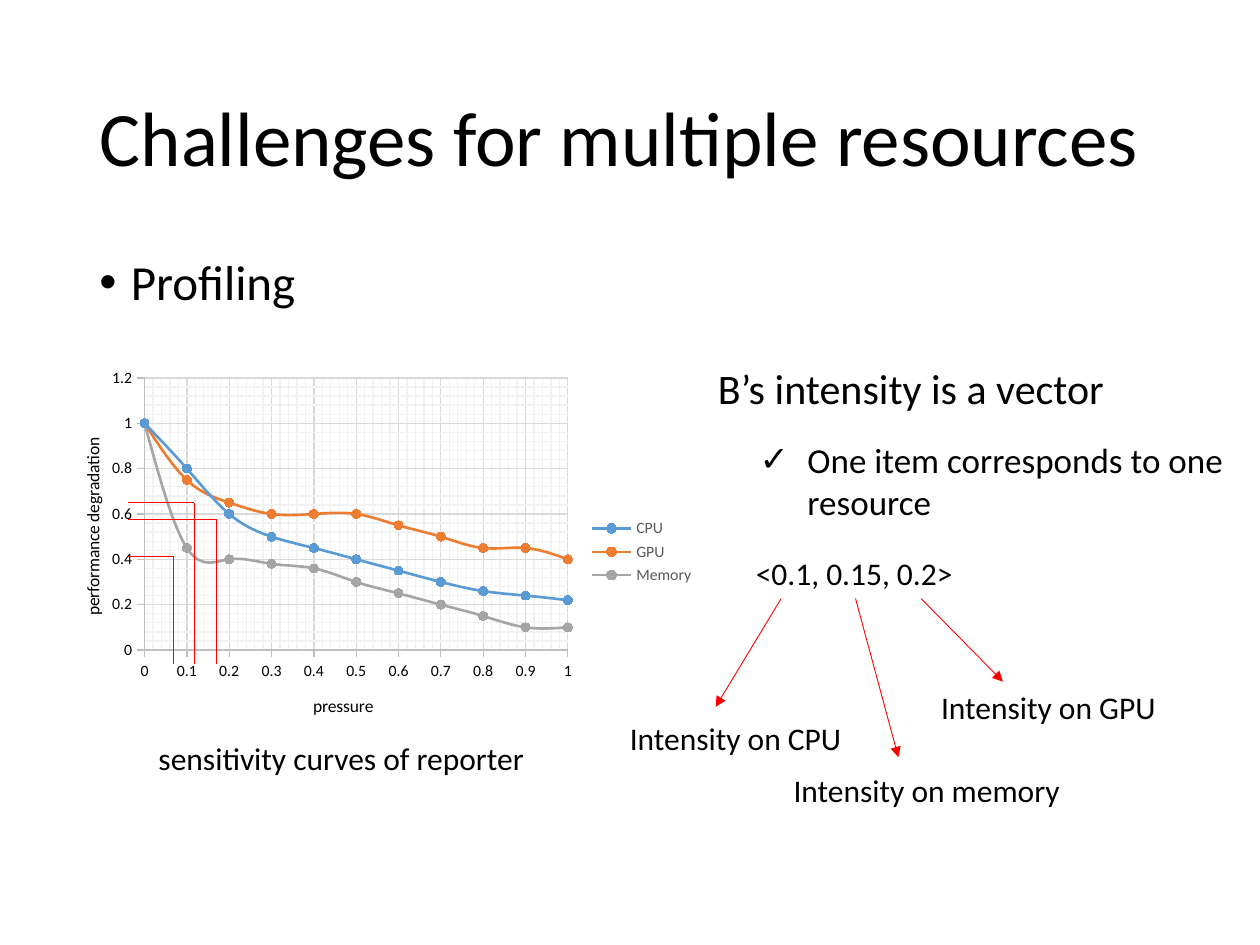
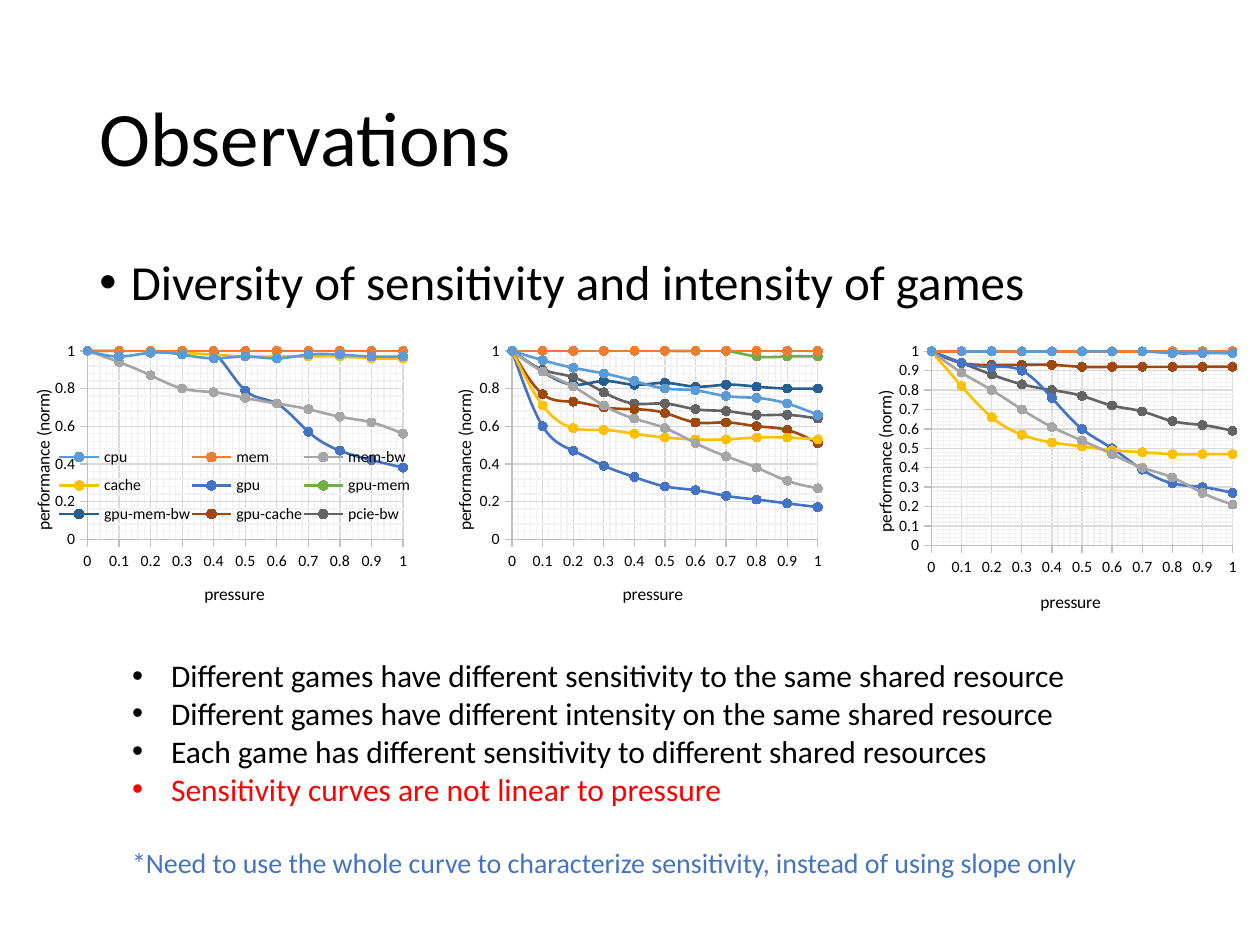
from lxml import etree
from pptx import Presentation
from pptx.chart.data import XyChartData
from pptx.dml.color import RGBColor
from pptx.enum.chart import XL_CHART_TYPE, XL_LEGEND_POSITION, XL_MARKER_STYLE, XL_TICK_MARK
from pptx.enum.shapes import MSO_CONNECTOR
from pptx.enum.text import MSO_ANCHOR, MSO_AUTO_SIZE, PP_ALIGN
from pptx.oxml.ns import qn
from pptx.util import Inches, Pt

SMOOTH = XL_CHART_TYPE.XY_SCATTER_SMOOTH
CIRCLE = XL_MARKER_STYLE.CIRCLE
OUTSIDE, NO_TICK = XL_TICK_MARK.OUTSIDE, XL_TICK_MARK.NONE
LEGEND_SIDES = {"right": XL_LEGEND_POSITION.RIGHT, "bottom": XL_LEGEND_POSITION.BOTTOM}
STRAIGHT = MSO_CONNECTOR.STRAIGHT
LEFT, MIDDLE = PP_ALIGN.LEFT, MSO_ANCHOR.MIDDLE
NO_FIT = MSO_AUTO_SIZE.NONE

FONT = "Calibri"
BLACK, RED, BLUE, GREY = "000000", "FF0000", "4472C4", "595959"
AXIS, GRID, FINE_GRID = "BFBFBF", "D9D9D9", "F2F2F2"
TITLE_AREA = (0.69, 0.4, 8.62, 1.45)
HEADING_AREA = (0.69, 2, 9.25, 0.67)

PRESSURES = [step / 10 for step in range(11)]
FLAT = [1] * 11
REPORTER_COLORS = ["5B9BD5", "ED7D31", "A5A5A5"]
GAME_COLORS = REPORTER_COLORS + ["FFC000", BLUE, "70AD47", "255E91", "9E480E", "636363"]
RESOURCES = ["cpu", "mem", "mem-bw", "cache", "gpu", "gpu-mem",
             "gpu-mem-bw", "gpu-cache", "pcie-bw"]
SERIES_NAMES = [f"Series {number}" for number in range(1, 10)]

# Places inside a chart are shares of its width and height.
REPORTER_CHART = {
    "area": (0.36, 2.88, 5.25, 3), "names": ["CPU", "GPU", "Memory"],
    "colors": REPORTER_COLORS, "value_title": "performance degradation",
    "top": 1.2, "step": 0.2, "plot": (0.15, 0.04, 0.64, 0.72),
    "pressure_at": (0.4, 0.87), "value_at": (0.05, 0.19),
    "legend": "right", "legend_color": GREY,
    "curves": [
        [1, 0.8, 0.6, 0.5, 0.45, 0.4, 0.35, 0.3, 0.26, 0.24, 0.22],
        [1, 0.75, 0.65, 0.6, 0.6, 0.6, 0.55, 0.5, 0.45, 0.45, 0.4],
        [1, 0.45, 0.4, 0.38, 0.36, 0.3, 0.25, 0.2, 0.15, 0.1, 0.1],
    ],
}
GAME_STYLE = {
    "names": SERIES_NAMES, "colors": GAME_COLORS, "value_title": "performance (norm)",
    "top": 1, "step": 0.2, "plot": (0.23, 0.05, 0.74, 0.65),
    "pressure_at": (0.49, 0.84), "value_at": (0.08, 0.17),
}
GAME_CHARTS = [
    {"area": (-0.04, 2.67, 3.34, 2.3), "names": RESOURCES, "plot": (0.22, 0.05, 0.75, 0.65),
     "legend": "bottom", "legend_color": BLACK, "legend_area": (0.15, 0.35, 0.84, 0.33),
     "curves": [
         [1, 0.97, 0.99, 0.98, 0.96, 0.97, 0.96, 0.98, 0.98, 0.97, 0.97],
         FLAT,
         [1, 0.94, 0.87, 0.8, 0.78, 0.75, 0.72, 0.69, 0.65, 0.62, 0.56],
         [1, 1, 1, 0.99, 0.98, 0.97, 0.97, 0.97, 0.97, 0.96, 0.96],
         [1, 1, 1, 1, 0.99, 0.79, 0.72, 0.57, 0.47, 0.42, 0.38],
         FLAT, FLAT, FLAT, FLAT,
     ]},
    {"area": (3.31, 2.67, 3.28, 2.3),
     "curves": [
         [1, 0.95, 0.91, 0.88, 0.84, 0.8, 0.79, 0.76, 0.75, 0.72, 0.66],
         FLAT,
         [1, 0.89, 0.81, 0.71, 0.64, 0.59, 0.51, 0.44, 0.38, 0.31, 0.27],
         [1, 0.71, 0.59, 0.58, 0.56, 0.54, 0.53, 0.53, 0.54, 0.54, 0.53],
         [1, 0.6, 0.47, 0.39, 0.33, 0.28, 0.26, 0.23, 0.21, 0.19, 0.17],
         [1, 1, 1, 1, 1, 1, 1, 1, 0.97, 0.97, 0.97],
         [1, 0.89, 0.82, 0.84, 0.82, 0.83, 0.81, 0.82, 0.81, 0.8, 0.8],
         [1, 0.77, 0.73, 0.7, 0.69, 0.67, 0.62, 0.62, 0.6, 0.58, 0.51],
         [1, 0.9, 0.86, 0.78, 0.72, 0.72, 0.69, 0.68, 0.66, 0.66, 0.64],
     ]},
    {"area": (6.65, 2.67, 3.23, 2.37), "step": 0.1,
     "curves": [
         [1, 1, 1, 1, 1, 1, 1, 1, 0.99, 0.99, 0.99],
         FLAT,
         [1, 0.89, 0.8, 0.7, 0.61, 0.54, 0.47, 0.4, 0.35, 0.27, 0.21],
         [1, 0.82, 0.66, 0.57, 0.53, 0.51, 0.49, 0.48, 0.47, 0.47, 0.47],
         [1, 0.94, 0.92, 0.9, 0.76, 0.6, 0.5, 0.39, 0.32, 0.3, 0.27],
         FLAT, FLAT,
         [1, 0.94, 0.93, 0.93, 0.93, 0.92, 0.92, 0.92, 0.92, 0.92, 0.92],
         [1, 0.94, 0.88, 0.83, 0.8, 0.77, 0.72, 0.69, 0.64, 0.62, 0.59],
     ]},
]

GUIDE_LEFT, GUIDE_BOTTOM = 1.02, 5.27
GUIDE_CORNERS = [(1.38, 4.42), (1.72, 4.12), (1.54, 3.99)]
SINGLE_LINES = [
    ("sensitivity curves of reporter", (1.16, 5.82, 3.14, 0.4)),
    ("<0.1, 0.15, 0.2>", (5.9, 4.35, 1.78, 0.4)),
    ("Intensity on CPU", (4.9, 5.66, 1.9, 0.4)),
    ("Intensity on memory", (6.2, 6.07, 2.34, 0.4)),
    ("Intensity on GPU", (7.37, 5.41, 1.92, 0.4)),
]
ARROW_TOP = 4.75
ARROWS = [(6.2, (5.68, 5.61)), (6.79, (7.13, 6.01)), (7.31, (7.96, 5.41))]
FINDINGS = [
    ("Different games have different sensitivity to the same shared resource", BLACK),
    ("Different games have different intensity on the same shared resource", BLACK),
    ("Each game has different sensitivity to different shared resources", BLACK),
    ("Sensitivity curves are not linear to pressure", RED),
]
FOOTNOTE = "*Need to use the whole curve to characterize sensitivity, instead of using slope only"


def rgb(color):
    return RGBColor.from_string(color)


def set_font(font, size, color=BLACK):
    font.name, font.size, font.bold = FONT, Pt(size), False
    font.color.rgb = rgb(color)


def set_line(line, color, width=0.75):
    line.color.rgb = rgb(color)
    line.width = Pt(width)


def write_text(frame, lines, size=18, color=BLACK, bullet=None, indent=0, spacing=None, wrap=True):
    """Fill a frame with lines, each a string or a (string, color) pair."""
    frame.word_wrap = wrap
    frame.auto_size = NO_FIT
    for index, line in enumerate(lines):
        text, text_color = (line, color) if isinstance(line, str) else line
        para = frame.add_paragraph() if index else frame.paragraphs[0]
        para.alignment = LEFT
        if bullet:
            properties = para._p.get_or_add_pPr()
            properties.set("marL", str(Inches(indent)))
            properties.set("indent", str(-Inches(indent)))
            etree.SubElement(properties, qn("a:buFont")).set("typeface", "Arial")
            etree.SubElement(properties, qn("a:buChar")).set("char", bullet)
        if spacing:
            para.line_spacing = spacing
        span = para.add_run()
        span.text = text
        set_font(span.font, size, text_color)


def add_text(slide, area, lines, **style):
    box = slide.shapes.add_textbox(*map(Inches, area))
    write_text(box.text_frame, lines, **style)


def add_line(slide, start, end, arrow=False):
    line = slide.shapes.add_connector(STRAIGHT, *map(Inches, (*start, *end)))
    set_line(line.line, RED, 0.5)
    properties = line._element.spPr
    if arrow:
        etree.SubElement(properties.find(qn("a:ln")), qn("a:tailEnd")).set("type", "triangle")
    etree.SubElement(properties, qn("a:effectLst"))


def place(element, area, inner=False):
    """Give a chart part a fixed place, in shares of the chart."""
    for old in element.findall(qn("c:layout")):
        element.remove(old)
    leading = [child for child in element if child.tag in (qn("c:tx"), qn("c:legendPos"))]
    layout = etree.Element(qn("c:layout"))
    manual = etree.SubElement(layout, qn("c:manualLayout"))
    settings = [("layoutTarget", "inner")] if inner else []
    settings += [("xMode", "edge"), ("yMode", "edge")]
    settings += list(zip("xywh", area))
    for name, value in settings:
        etree.SubElement(manual, qn(f"c:{name}")).set("val", str(value))
    element.insert(len(leading), layout)


def add_fine_grid(axis):
    axis.has_minor_gridlines = True
    part = axis._element.find(qn("c:minorGridlines"))
    for name in ("c:spPr", "a:ln", "a:solidFill", "a:srgbClr"):
        part = etree.SubElement(part, qn(name))
        if name == "a:ln":
            part.set("w", str(Pt(0.75)))
    part.set("val", FINE_GRID)


def format_axis(axis, title, title_at, top, step):
    axis.minimum_scale, axis.maximum_scale = 0, top
    axis.major_unit, axis.minor_unit = step, round(step / 5, 2)
    axis.major_tick_mark, axis.minor_tick_mark = OUTSIDE, NO_TICK
    axis.has_major_gridlines = True
    set_line(axis.major_gridlines.format.line, GRID)
    add_fine_grid(axis)
    set_line(axis.format.line, AXIS)
    set_font(axis.tick_labels.font, 9)
    axis.tick_labels.number_format = "General"
    axis.tick_labels.number_format_is_linked = False
    span = axis.axis_title.text_frame.paragraphs[0].add_run()
    span.text = title
    set_font(span.font, 10)
    place(axis.axis_title._element, title_at)


def add_curves(slide, area, names, curves, colors, value_title, top, step, plot, pressure_at,
               value_at, legend=None, legend_color=BLACK, legend_area=None):
    data = XyChartData()
    for name, values in zip(names, curves):
        series = data.add_series(name)
        for pressure, value in zip(PRESSURES, values):
            series.add_data_point(pressure, value)
    chart = slide.shapes.add_chart(SMOOTH, *map(Inches, area), data).chart
    set_font(chart.font, 10)
    chart.has_title = False
    chart.plots[0].vary_by_categories = False

    for series, color in zip(chart.plots[0].series, colors):
        set_line(series.format.line, color, 1.5)
        series.marker.style, series.marker.size = CIRCLE, 5
        series.marker.format.fill.solid()
        series.marker.format.fill.fore_color.rgb = rgb(color)
        set_line(series.marker.format.line, color)
        series._element.find(qn("c:smooth")).set("val", "1")

    format_axis(chart.category_axis, "pressure", pressure_at, 1, 0.1)
    format_axis(chart.value_axis, value_title, value_at, top, step)
    body = chart.value_axis.axis_title.text_frame._txBody.find(qn("a:bodyPr"))
    body.set("rot", "-5400000")
    body.set("vert", "horz")
    place(chart._chartSpace.chart.plotArea, plot, inner=True)

    chart.has_legend = legend is not None
    if legend:
        chart.legend.position = LEGEND_SIDES[legend]
        chart.legend.include_in_layout = legend_area is not None
        set_font(chart.legend.font, 9, legend_color)
        if legend_area:
            place(chart.legend._element, legend_area)


def add_page(deck, title, heading):
    page = deck.slides.add_slide(deck.slide_layouts[5])
    holder = page.shapes.title
    holder.left, holder.top, holder.width, holder.height = map(Inches, TITLE_AREA)
    holder.text_frame.vertical_anchor = MIDDLE
    write_text(holder.text_frame, [title], size=44, spacing=0.9)
    add_text(page, HEADING_AREA, [heading], size=28, bullet="•", indent=0.25, spacing=0.9)
    return page


def build_challenges(deck):
    page = add_page(deck, "Challenges for multiple resources", "Profiling")
    add_text(page, (5.6, 2.83, 4.24, 0.5), ["B’s intensity is a vector"], size=24)
    add_text(page, (5.93, 3.43, 3.91, 0.77), ["One item corresponds to one resource"],
             size=20, bullet="✓", indent=0.38)
    add_curves(page, **REPORTER_CHART)
    for x, y in GUIDE_CORNERS:
        add_line(page, (GUIDE_LEFT, y), (x, y))
        add_line(page, (x, GUIDE_BOTTOM), (x, y))
    for text, area in SINGLE_LINES:
        add_text(page, area, [text], wrap=False)
    for x, tip in ARROWS:
        add_line(page, (x, ARROW_TOP), tip, arrow=True)


def build_observations(deck):
    page = add_page(deck, "Observations", "Diversity of sensitivity and intensity of games")
    add_text(page, (0.95, 5.16, 8.2, 1.31), FINDINGS, bullet="•", indent=0.31)
    for game in GAME_CHARTS:
        add_curves(page, **{**GAME_STYLE, **game})
    add_text(page, (0.95, 6.66, 8.09, 0.37), [FOOTNOTE], size=16, color=BLUE)


def main():
    deck = Presentation()
    deck.slide_width, deck.slide_height = Inches(10), Inches(7.5)
    build_challenges(deck)
    build_observations(deck)
    deck.save("out.pptx")


if __name__ == "__main__":
    main()
